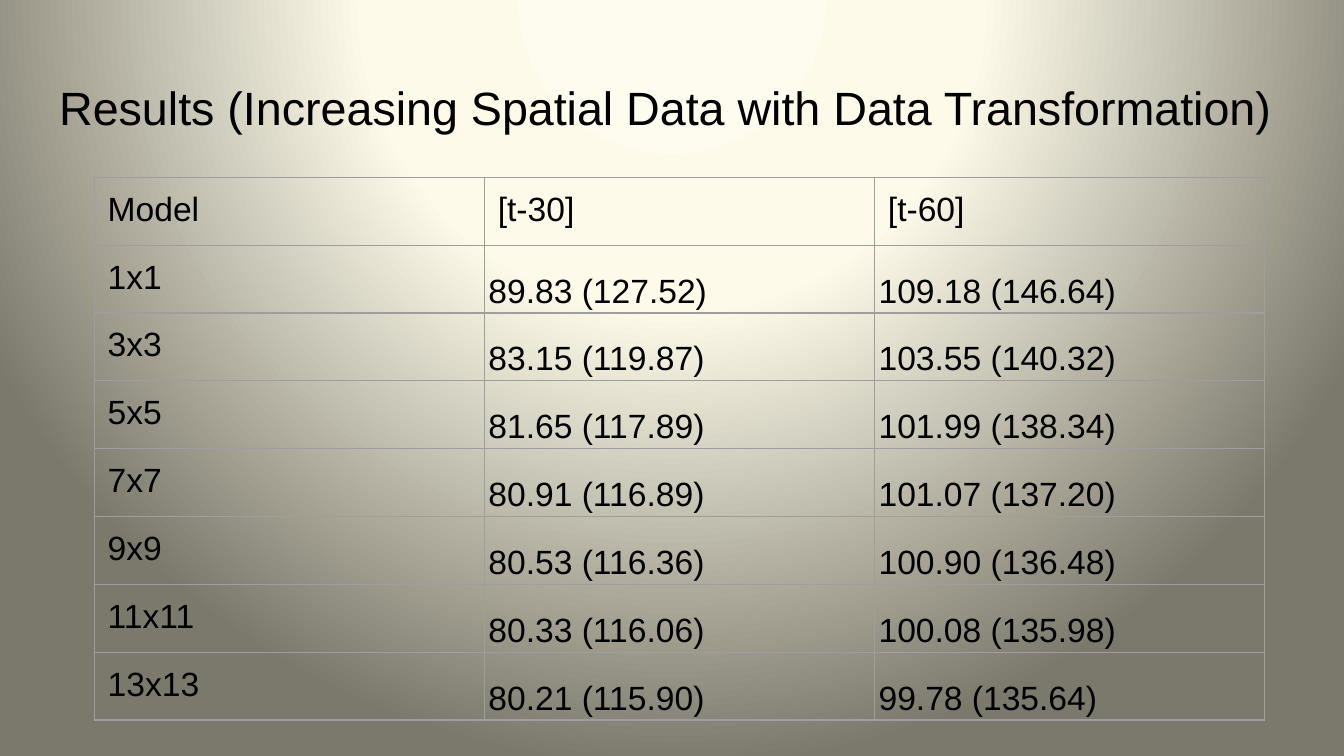
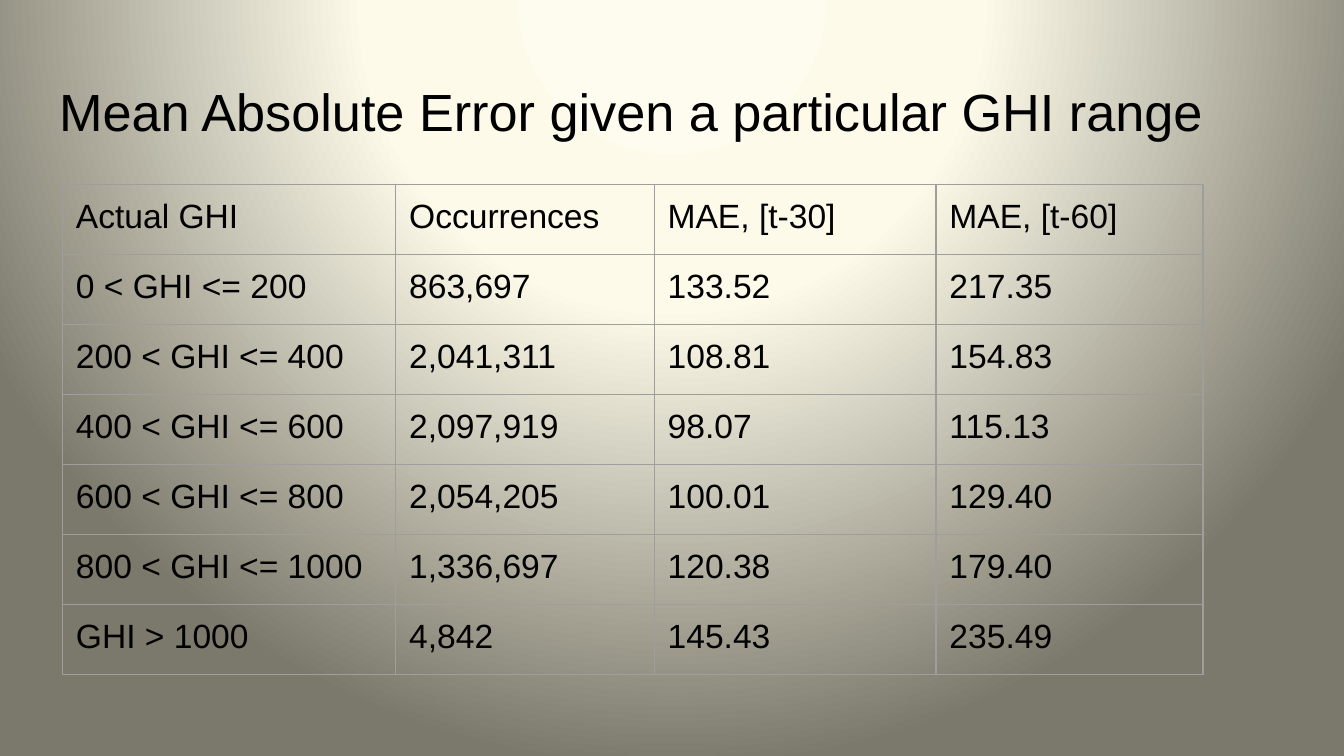
from pptx import Presentation
from pptx.dml.color import RGBColor
from pptx.enum.text import MSO_ANCHOR, MSO_AUTO_SIZE, PP_ALIGN
from pptx.oxml import parse_xml
from pptx.oxml.ns import nsdecls
from pptx.util import Pt

BLACK = RGBColor(0x00, 0x00, 0x00)
GREY = RGBColor(0x9E, 0x9E, 0x9E)
GLOW = ((0, RGBColor(0xFE, 0xFC, 0xEE)),
        (40, RGBColor(0xFD, 0xFA, 0xEA)),
        (100, RGBColor(0x7B, 0x79, 0x6B)))
FONT = "Arial"
INSET = 7.2

prs = Presentation()
prs.slide_width, prs.slide_height = Pt(720), Pt(405)

# Shared background: radial glow on the master
master = prs.slide_master
master.background.fill.solid()
bg_pr = master.element.cSld.bg.bgPr
stops = "".join(f'<a:gs pos="{pos * 1000}"><a:srgbClr val="{color}"/></a:gs>'
                for pos, color in GLOW)
bg_pr.replace(bg_pr[0], parse_xml(
    f'<a:gradFill {nsdecls("a")} rotWithShape="1"><a:gsLst>{stops}</a:gsLst>'
    '<a:path path="circle">'
    '<a:fillToRect l="50000" t="-80000" r="50000" b="180000"/>'
    '</a:path></a:gradFill>'))


def add_titled_slide(title, size):
    s = prs.slides.add_slide(prs.slide_layouts[5])
    sp = s.shapes.title
    sp.left, sp.top, sp.width, sp.height = Pt(24.5), Pt(35), Pt(671), Pt(45)
    tf = sp.text_frame
    tf.text = title
    tf.word_wrap = True
    tf.auto_size = MSO_AUTO_SIZE.NONE
    tf.vertical_anchor = MSO_ANCHOR.TOP
    tf.margin_left = tf.margin_right = Pt(INSET)
    tf.margin_top = tf.margin_bottom = Pt(INSET)
    p = tf.paragraphs[0]
    p.alignment = PP_ALIGN.LEFT
    p.font.name, p.font.size, p.font.color.rgb = FONT, Pt(size), BLACK
    return s


def add_grid(s, rows, left, top, widths, row_height):
    """Add an unfilled table with thin grey borders."""
    table = s.shapes.add_table(len(rows), len(widths), Pt(left), Pt(top),
                               Pt(sum(widths)), Pt(row_height * len(rows))).table
    table.first_row = table.horz_banding = False
    for column, width in zip(table.columns, widths):
        column.width = Pt(width)
    for i, row in enumerate(rows):
        table.rows[i].height = Pt(row_height)
        for j, text in enumerate(row):
            cell = table.cell(i, j)
            cell.text = text
            cell.margin_left = cell.margin_right = Pt(INSET)
            cell.margin_top = cell.margin_bottom = Pt(INSET)
            cell.vertical_anchor = MSO_ANCHOR.TOP
            p = cell.text_frame.paragraphs[0]
            p.font.name, p.font.size, p.font.color.rgb = FONT, Pt(18), BLACK
            tc_pr = cell._tc.get_or_add_tcPr()
            for side in ("lnL", "lnR", "lnT", "lnB"):
                tc_pr.append(parse_xml(
                    f'<a:{side} {nsdecls("a")} w="{Pt(0.75)}"><a:solidFill>'
                    f'<a:srgbClr val="{GREY}"/></a:solidFill></a:{side}>'))
            cell.fill.background()
    return table


# Slide 1: results by size of the spatial grid
s = add_titled_slide("Results (Increasing Spatial Data with Data Transformation)", 25)
results = [
    ("Model", "[t-30]", "[t-60]"),
    ("1x1", "89.83 (127.52)", "109.18 (146.64)"),
    ("3x3", "83.15 (119.87)", "103.55 (140.32)"),
    ("5x5", "81.65 (117.89)", "101.99 (138.34)"),
    ("7x7", "80.91 (116.89)", "101.07 (137.20)"),
    ("9x9", "80.53 (116.36)", "100.90 (136.48)"),
    ("11x11", "80.33 (116.06)", "100.08 (135.98)"),
    ("13x13", "80.21 (115.90)", "99.78 (135.64)"),
]
table = add_grid(s, results, 50.5, 95, [209] * 3, 36.35)

# Scores sit at the bottom of their cells
for i in range(1, len(results)):
    for j in (1, 2):
        cell = table.cell(i, j)
        cell.vertical_anchor = MSO_ANCHOR.BOTTOM
        cell.margin_left = cell.margin_right = Pt(2.2)
        cell.margin_top = cell.margin_bottom = Pt(1.5)
        cell.text_frame.paragraphs[0].line_spacing = 1.15

# Slide 2: error by GHI range
s = add_titled_slide("Mean Absolute Error given a particular GHI range", 28)
errors = [
    ("Actual GHI", "Occurrences", "MAE, [t-30]", "MAE, [t-60]"),
    ("0 < GHI <= 200", "863,697", "133.52", "217.35"),
    ("200 < GHI <= 400", "2,041,311", "108.81", "154.83"),
    ("400 < GHI <= 600", "2,097,919", "98.07", "115.13"),
    ("600 < GHI <= 800", "2,054,205", "100.01", "129.40"),
    ("800 < GHI <= 1000", "1,336,697", "120.38", "179.40"),
    ("GHI > 1000", "4,842", "145.43", "235.49"),
]
add_grid(s, errors, 33.5, 99, [178.5, 138.5, 151, 143], 37.5)

prs.save("out.pptx")
